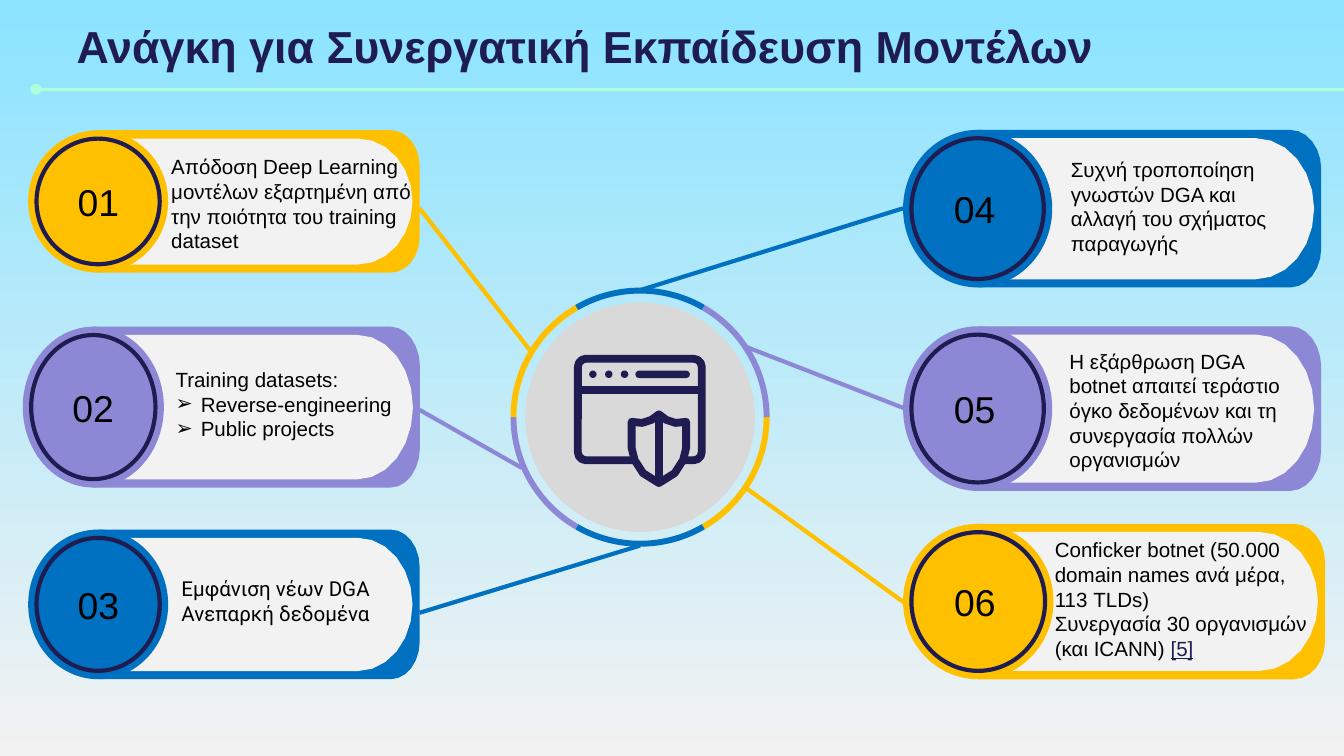
from math import cos, radians, sin

from lxml import etree
from pptx import Presentation
from pptx.dml.color import RGBColor
from pptx.enum import shapes, text
from pptx.oxml.ns import qn
from pptx.util import Pt

NAVY = RGBColor(0x1F, 0x1C, 0x51)
GOLD = RGBColor(0xFF, 0xC0, 0x00)
BLUE = RGBColor(0x00, 0x70, 0xC0)
PURPLE = RGBColor(0x8C, 0x88, 0xD6)
MINT = RGBColor(0xAC, 0xFF, 0xD9)
SKY = RGBColor(0x8B, 0xE3, 0xFF)
PALE = RGBColor(0xF2, 0xF2, 0xF2)
GREY = RGBColor(0xD9, 0xD9, 0xD9)
BLACK = RGBColor(0, 0, 0)
KIND = shapes.MSO_SHAPE


def arc(cx, cy, rx, ry, start, end, steps=6):
    """Points on an ellipse, with angles in degrees running clockwise."""
    angles = [radians(start + (end - start) * i / steps) for i in range(steps + 1)]
    return [(cx + rx * cos(a), cy + ry * sin(a)) for a in angles]


class Deck:
    font = "Arial"
    size = 11

    def __init__(self, slide):
        self.s = slide

    def paint(self, sp, fill=None, line=None, width=1.0):
        sp.shadow.inherit = False
        if fill is None:
            sp.fill.background()
        else:
            sp.fill.solid()
            sp.fill.fore_color.rgb = fill
        if line is None:
            sp.line.fill.background()
        else:
            sp.line.color.rgb = line
            sp.line.width = Pt(width)
        return sp

    def style(self, p, size, color=BLACK, font=None, bold=False):
        for r in p.runs:
            r.font.name = font or self.font
            r.font.size = Pt(size)
            r.font.bold = bold
            r.font.color.rgb = color

    def background(self, top, bottom):
        fill = self.s.background.fill
        fill.gradient()
        fill.gradient_angle = 270
        for stop, color in zip(fill.gradient_stops, (top, bottom)):
            stop.color.rgb = color

    def title(self, words, x, y, w, h):
        sp = self.s.shapes.title
        sp.left, sp.top, sp.width, sp.height = Pt(x), Pt(y), Pt(w), Pt(h)
        tf = sp.text_frame
        tf.text = words
        tf.auto_size = text.MSO_AUTO_SIZE.NONE
        tf.vertical_anchor = text.MSO_ANCHOR.MIDDLE
        p = tf.paragraphs[0]
        p.alignment = text.PP_ALIGN.LEFT
        self.style(p, 24, NAVY, bold=True)

    def shape(self, kind, x, y, w, h, **look):
        sp = self.s.shapes.add_shape(kind, Pt(x), Pt(y), Pt(w), Pt(h))
        return self.paint(sp, **look)

    def outline(self, points, **look):
        pts = [(Pt(x), Pt(y)) for x, y in points]
        fb = self.s.shapes.build_freeform(*pts[0])
        fb.add_line_segments(pts[1:])
        return self.paint(fb.convert_to_shape(), **look)

    def line(self, x1, y1, x2, y2, color, width=2.25, head=None):
        c = self.s.shapes.add_connector(
            shapes.MSO_CONNECTOR.STRAIGHT, Pt(x1), Pt(y1), Pt(x2), Pt(y2))
        c.line.color.rgb = color
        c.line.width = Pt(width)
        if head:
            ln = c._element.spPr.find(qn("a:ln"))
            etree.SubElement(ln, qn("a:headEnd"), type=head)
        etree.SubElement(c._element.spPr, qn("a:effectLst"))

    def tab(self, x, y, right, h, rx, ry, color):
        """A block with a square left side and rounded right corners."""
        points = [(x, y)]
        points += arc(right - rx, y + ry, rx, ry, -90, 0)
        points += arc(right - rx, y + h - ry, rx, ry, 0, 90)
        self.outline(points + [(x, y + h)], fill=color)

    def card(self, number, x, y, d, h, right, color):
        mid = x + d / 2
        w = right - mid
        self.tab(mid, y, right, h, 0.09 * w, h / 4, color)
        inner = h - 2 * 4.4
        self.tab(mid + 3.6, y + 4.4, right - 3.8, inner, 0.17 * w, inner / 2, PALE)
        sp = self.shape(KIND.OVAL, x, y, d, h, fill=color)
        tf = sp.text_frame
        tf.text = number
        tf.margin_left, tf.margin_right = Pt(15.5), 0
        tf.vertical_anchor = text.MSO_ANCHOR.MIDDLE
        p = tf.paragraphs[0]
        p.alignment = text.PP_ALIGN.LEFT
        self.style(p, 20)
        self.shape(KIND.OVAL, x + 4.5, y + 4.5, d - 9, h - 9, line=NAVY, width=2.25)

    def text(self, x, y, w, h, paragraphs, bullets=False, font=None):
        tf = self.s.shapes.add_textbox(Pt(x), Pt(y), Pt(w), Pt(h)).text_frame
        tf.word_wrap = True
        tf.text = "\n".join(paragraphs)
        for i, p in enumerate(tf.paragraphs):
            if bullets and i:
                pPr = p._p.get_or_add_pPr()
                pPr.set("marL", str(Pt(13.5)))
                pPr.set("indent", str(-Pt(13.5)))
                etree.SubElement(pPr, qn("a:buFont"), typeface="Arial")
                etree.SubElement(pPr, qn("a:buChar"), char="➢")
            self.style(p, self.size, font=font)
        return tf


def main():
    prs = Presentation()
    prs.slide_width, prs.slide_height = Pt(720), Pt(405)
    d = Deck(prs.slides.add_slide(prs.slide_layouts[5]))

    # Background, title and rule
    d.background(SKY, PALE)
    d.line(19.2, 47.8, 720, 47.8, MINT, 1.5, head="oval")
    d.title("Ανάγκη για Συνεργατική Εκπαίδευση Μοντέλων", 33.8, 3, 632, 42.5)

    # Numbered cards
    for card in (
        ("01", 15.1, 69.8, 75, 76.3, 224.8, GOLD),
        ("02", 12.2, 175, 75.6, 86.2, 225, PURPLE),
        ("03", 15.1, 283.7, 75, 80.2, 224.8, BLUE),
        ("04", 483.8, 69.6, 79.9, 84.4, 707.8, BLUE),
        ("05", 483.8, 174.8, 79.9, 88.2, 707.8, PURPLE),
        ("06", 483.8, 280.6, 80.6, 83.3, 709.9, GOLD),
    ):
        d.card(*card)

    # Hub: grey disc inside a ring of six coloured arcs
    cx, cy, r, ring = 342.9, 223.5, 61.5, 69.4
    d.shape(KIND.OVAL, cx - r, cy - r, 2 * r, 2 * r, fill=GREY)
    for i, color in enumerate((GOLD, BLUE, PURPLE) * 2):
        sp = d.shape(KIND.BLOCK_ARC, cx - ring, cy - ring, 2 * ring, 2 * ring,
                     fill=color)
        # Angles are in 60000ths of a degree, scaled down by 100000
        sp.adjustments[0] = 60 * i * 0.6
        sp.adjustments[1] = 60 * (i + 1) % 360 * 0.6
        sp.adjustments[2] = 0.023

    # Browser window icon
    frame = d.shape(KIND.ROUNDED_RECTANGLE, 309.6, 192.2, 66.4, 54.4,
                    line=NAVY, width=4.2)
    frame.adjustments[0] = 0.08
    d.line(309.6, 208.8, 376, 208.8, NAVY, 4.2)
    for i in range(3):
        d.shape(KIND.OVAL, 315.6 + 8.5 * i, 198.5, 4, 4, fill=NAVY)
    bar = d.shape(KIND.ROUNDED_RECTANGLE, 340.4, 198.5, 29.2, 4, fill=NAVY)
    bar.adjustments[0] = 0.5

    # Shield icon, mirrored about its centre line
    sx = 353
    half = [(0, 222), (4, 225), (9, 226.6), (14.6, 226), (14.6, 240),
            (13, 246.5), (8.5, 253.5), (0, 258.8)]
    d.outline([(sx + x, y) for x, y in half] + [(sx - x, y) for x, y in half[-2:0:-1]],
              fill=GREY, line=NAVY, width=4.2)
    d.line(sx, 223, sx, 258, NAVY, 4.2)

    # Lines from the cards to the hub
    for link in (
        (224.8, 111.6, 285, 189, GOLD),
        (399.6, 261.4, 485, 323.3, GOLD),
        (224.8, 328.3, 342.9, 292.3, BLUE),
        (483.8, 111.6, 342.9, 155.5, BLUE),
        (224.8, 219.6, 279.4, 250.6, PURPLE),
        (486.7, 219.6, 399.6, 185.8, PURPLE),
    ):
        d.line(*link)

    # Card texts
    d.text(84.6, 79.2, 149.8, 60.5,
           ["Απόδοση Deep Learning μοντέλων εξαρτημένη από την ποιότητα του "
            "training dataset"])
    d.text(87, 193, 188, 64,
           ["Training datasets:", "Reverse-engineering", "Public projects"],
           bullets=True)
    tf = d.text(97.2, 304.6, 113.8, 34.6,
                ["Εμφάνιση νέων DGA Ανεπαρκή δεδομένα"], font="Roboto")
    tf.margin_left = tf.margin_right = 0
    tf.vertical_anchor = text.MSO_ANCHOR.MIDDLE
    d.text(566.6, 80.6, 124.6, 60.5,
           ["Συχνή τροποποίηση", "γνωστών DGA και αλλαγή του σχήματος παραγωγής"])
    d.text(565.8, 183.2, 128.2, 90.7,
           ["Η εξάρθρωση DGA",
            "botnet απαιτεί τεράστιο όγκο δεδομένων και τη συνεργασία πολλών "
            "οργανισμών"])
    tf = d.text(558, 284.4, 155.5, 74.2,
                ["Conficker botnet (50.000 domain names ανά μέρα, 113 TLDs)",
                 "Συνεργασία 30 οργανισμών (και ICANN) "])
    ref = tf.paragraphs[1].add_run()
    ref.text = "[5]"
    ref.font.name, ref.font.size = d.font, Pt(d.size)
    ref.font.color.rgb = NAVY
    ref.font.underline = True

    prs.save("out.pptx")


if __name__ == "__main__":
    main()
